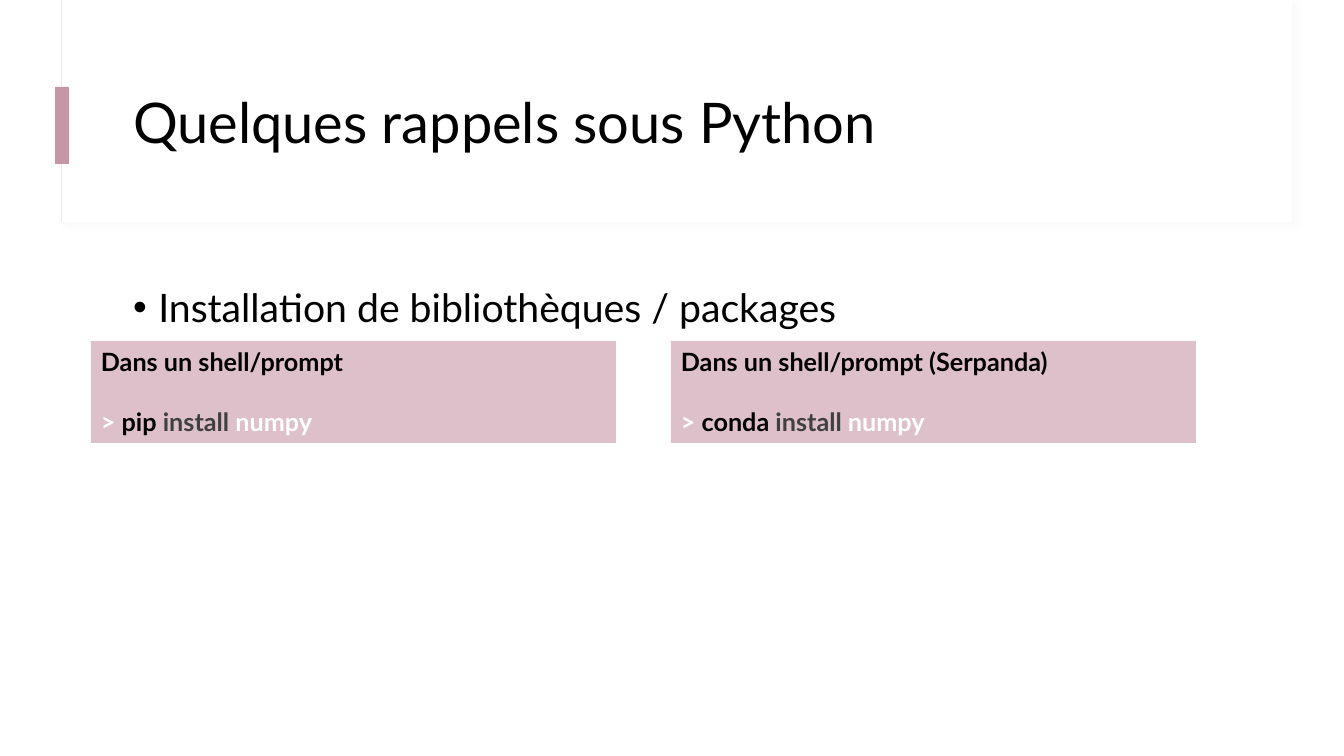
"""Build a slide on installing Python packages with pip and conda."""
from lxml import etree
from pptx import Presentation
from pptx.dml.color import RGBColor
from pptx.enum.shapes import MSO_SHAPE
from pptx.enum.text import MSO_ANCHOR, MSO_AUTO_SIZE, PP_ALIGN
from pptx.oxml import parse_xml
from pptx.oxml.ns import nsdecls, qn
from pptx.util import Emu, Pt

RECTANGLE = MSO_SHAPE.RECTANGLE
TOP, MIDDLE = MSO_ANCHOR.TOP, MSO_ANCHOR.MIDDLE
NO_FIT, LEFT = MSO_AUTO_SIZE.NONE, PP_ALIGN.LEFT

BLACK = RGBColor(0x00, 0x00, 0x00)
WHITE = RGBColor(0xFF, 0xFF, 0xFF)
GREY = RGBColor(0x40, 0x40, 0x40)
ROSE = RGBColor(0xC6, 0x96, 0xA7)
PALE_ROSE = RGBColor(0xDD, 0xC0, 0xCA)
FRAME_LINE = RGBColor(0xF0, 0xE5, 0xE5)

SLIDE_WIDTH, SLIDE_HEIGHT = 1344, 756
EMU_PER_PX = 12192000 / SLIDE_WIDTH
COMMAND_LEFT, COMMAND_STEP = 91, 580
COMMANDS = [
    ("Dans un shell/prompt", "pip "),
    ("Dans un shell/prompt (Serpanda)", "conda "),
]


def px(length):
    return Emu(round(length * EMU_PER_PX))


class PackageSlide:
    """Hold the font and the current slide, and add its elements."""

    font_name = "Lato"

    def __init__(self, deck):
        self.slide = deck.slides.add_slide(deck.slide_layouts[1])

    def style(self, font, size, color, bold=False):
        font.name = self.font_name
        font.size = Pt(size)
        font.bold = bold
        font.color.rgb = color

    def block(self, left, top, width, height, fill, line=None):
        block = self.slide.shapes.add_shape(
            RECTANGLE, px(left), px(top), px(width), px(height))
        block.shadow.inherit = False
        block.fill.solid()
        block.fill.fore_color.rgb = fill
        if line is None:
            block.line.fill.background()
        else:
            block.line.color.rgb = line
            block.line.width = Pt(0.75)
        return block

    def header(self):
        frame = self.block(62, 0, 1230, 222, WHITE, FRAME_LINE)
        effects = frame._element.spPr.find(qn("a:effectLst"))
        effects.append(parse_xml(
            f'<a:outerShdw {nsdecls("a")} blurRad="50800" dist="38100" '
            'dir="2700000" algn="tl" rotWithShape="0"><a:srgbClr val="D9D9D9">'
            '<a:alpha val="15000"/></a:srgbClr></a:outerShdw>'))
        self.block(62, 0, 1230, 222, WHITE)
        self.block(55, 87, 14, 77, ROSE)

    def fill_placeholder(self, holder, box, text, size, spacing, anchor):
        holder.left, holder.top, holder.width, holder.height = map(px, box)
        self.slide.shapes._spTree.append(holder._element)
        frame = holder.text_frame
        frame.text = text
        frame.word_wrap = True
        frame.auto_size = NO_FIT
        frame.vertical_anchor = anchor
        paragraph = frame.paragraphs[0]
        paragraph.alignment = LEFT
        paragraph.line_spacing = spacing
        paragraph.space_before = Pt(0)
        self.style(paragraph.runs[0].font, size, BLACK)
        return paragraph

    def title(self, text):
        self.fill_placeholder(
            self.slide.shapes.title, (123, 60, 1121, 130), text, 40, 0.9, MIDDLE)

    def bullet(self, text):
        paragraph = self.fill_placeholder(
            self.slide.placeholders[1], (123, 274, 1129, 407), text, 28, 1.1, TOP)
        properties = paragraph._p.get_or_add_pPr()
        properties.set("marL", "228600")
        properties.set("indent", "-228600")
        etree.SubElement(properties, qn("a:buFont")).set("typeface", "Arial")
        etree.SubElement(properties, qn("a:buChar")).set("char", "•")

    def command(self, left, heading, installer):
        frame = self.block(left, 341, 525, 102, PALE_ROSE).text_frame
        frame.word_wrap = True
        frame.vertical_anchor = TOP
        frame.text = heading
        heading_line = frame.paragraphs[0]
        heading_line.alignment = LEFT
        self.style(heading_line.runs[0].font, 18, BLACK, True)
        command_line = frame.add_paragraph()
        command_line.alignment = LEFT
        command_line.space_before = Pt(21.6)
        for word, color in (("> ", WHITE), (installer, BLACK),
                            ("install ", GREY), ("numpy", WHITE)):
            run = command_line.add_run()
            run.text = word
            self.style(run.font, 18, color, True)


def main():
    deck = Presentation()
    deck.slide_width, deck.slide_height = px(SLIDE_WIDTH), px(SLIDE_HEIGHT)
    page = PackageSlide(deck)
    page.header()
    page.title("Quelques rappels sous Python")
    page.bullet("Installation de bibliothèques / packages")
    for column, (heading, installer) in enumerate(COMMANDS):
        page.command(COMMAND_LEFT + column * COMMAND_STEP, heading, installer)
    deck.save("out.pptx")


if __name__ == "__main__":
    main()
